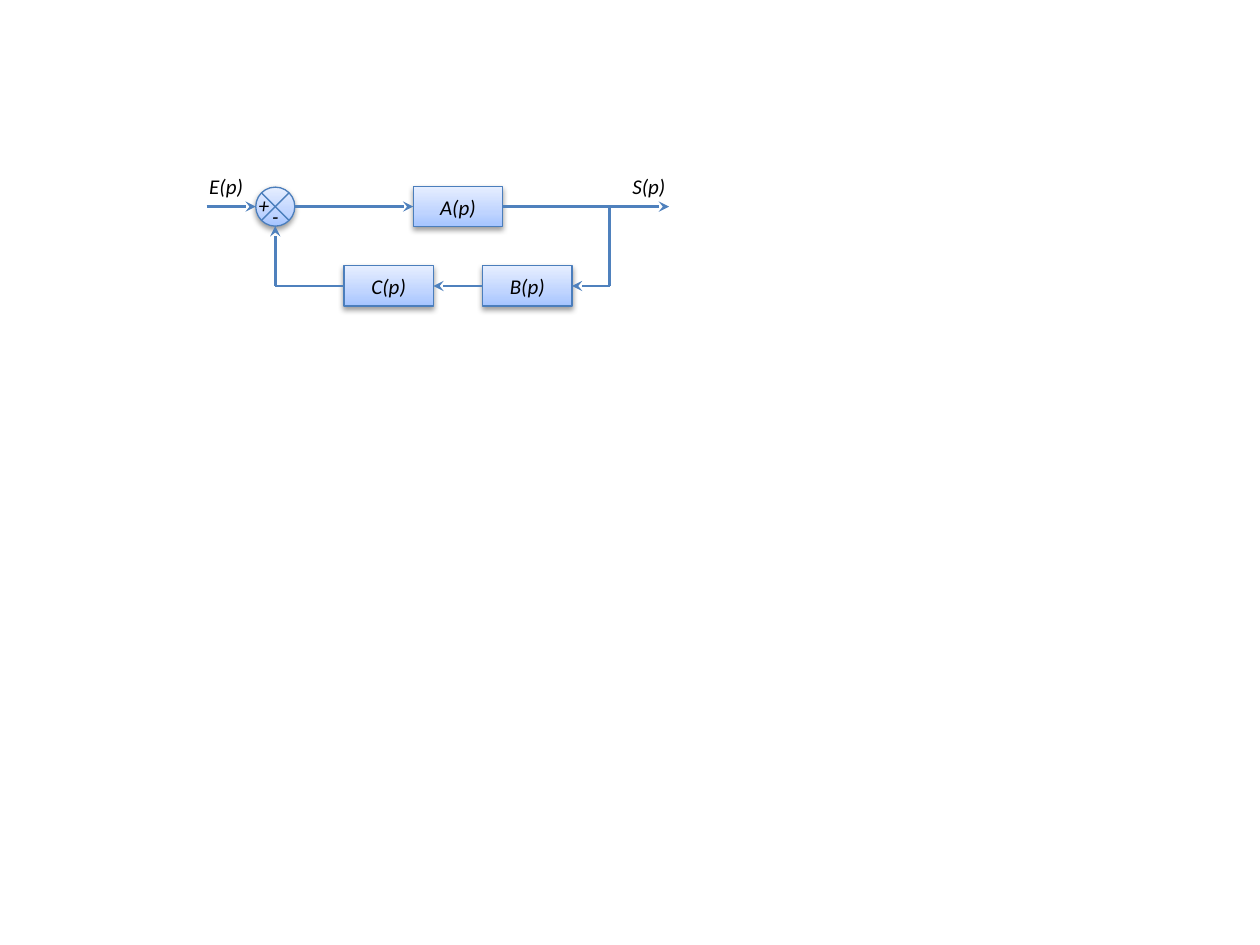
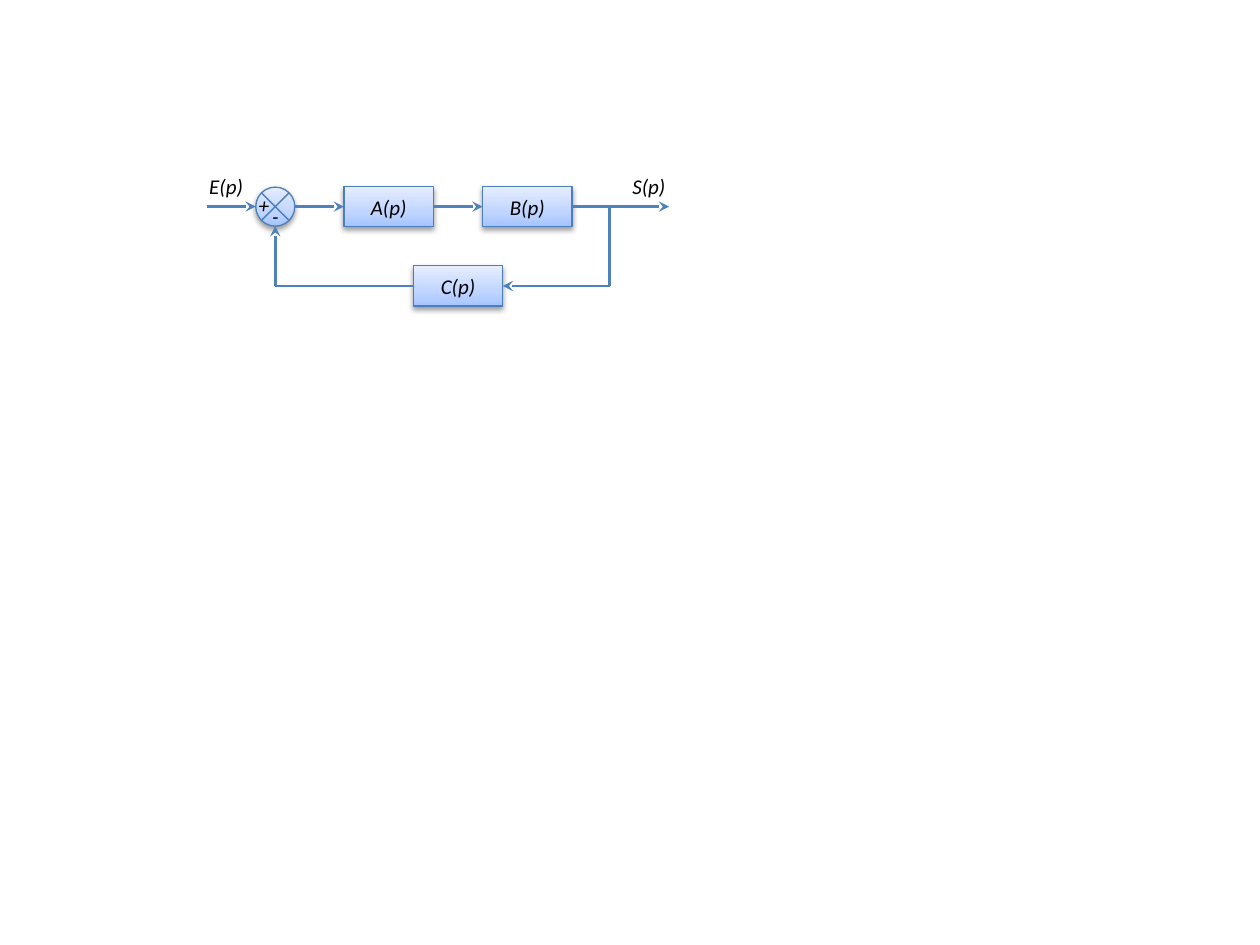
from copy import deepcopy
from dataclasses import dataclass

from lxml import etree
from pptx import Presentation
from pptx.dml.color import RGBColor
from pptx.enum import shapes, text
from pptx.oxml.ns import qn
from pptx.util import Inches, Pt


@dataclass(frozen=True)
class Theme:
    font: str = "Calibri"
    size: float = 12
    ink: str = "000000"
    wire: str = "4F81BD"
    wire_width: float = 1.5
    outline: str = "4B7EBC"
    outline_width: float = 0.75
    gradient: tuple = ((0, "A4C4FF"), (0.35, "BFD4FF"), (1, "E6EEFF"))


theme = Theme()

BLOCK_WIDTH, BLOCK_HEIGHT, BLOCK_PITCH = 0.71, 0.32, 1.1
ROW_MIDDLE = 3.28 + BLOCK_WIDTH / 2
FORWARD_Y, FEEDBACK_Y = 1.64, 2.27
INPUT_X, OUTPUT_X, TAP_X = 1.64, 5.31, 4.84
SUM_X, SUM_SIZE = 2.03, 0.31
SUM_MIDDLE = SUM_X + SUM_SIZE / 2

# Each diagram lists its blocks from left to right: forward path, feedback path.
diagrams = [
    (["A(p)"], ["C(p)", "B(p)"]),
    (["A(p)", "B(p)"], ["C(p)"]),
]
labels = [
    ("E(p)", 1.56, 1.33, 0.47),
    ("S(p)", 4.92, 1.33, 0.46),
    ("+", 1.95, 1.48, 0.29),
    ("-", 2.06, 1.57, 0.25),
]


def write(box, words):
    """Put centred italic words in a block or a label."""
    para = box.text_frame.paragraphs[0]
    para.text = words
    para.alignment = text.PP_ALIGN.CENTER
    font = para.runs[0].font
    font.name, font.size, font.italic = theme.font, Pt(theme.size), True
    font.color.rgb = RGBColor.from_string(theme.ink)


def add_node(page, kind, left, top, width, height):
    """Add a shape with the shared gradient, outline and soft shadow."""
    box = page.shapes.add_shape(kind, *map(Inches, (left, top, width, height)))
    box.line.color.rgb = RGBColor.from_string(theme.outline)
    box.line.width = Pt(theme.outline_width)
    box.fill.gradient()
    box.fill.gradient_angle = 90
    properties = box._element.spPr
    stop_list = properties.find(".//" + qn("a:gsLst"))
    stop_list.append(deepcopy(stop_list[0]))
    for stop, (position, color) in zip(box.fill.gradient_stops, theme.gradient):
        stop.position = position
        stop.color.rgb = RGBColor.from_string(color)

    box.shadow.inherit = False
    shadow = etree.SubElement(
        properties.find(qn("a:effectLst")), qn("a:outerShdw"),
        blurRad="40000", dist="20000", dir="5400000", rotWithShape="0")
    shade = etree.SubElement(shadow, qn("a:srgbClr"), val="000000")
    etree.SubElement(shade, qn("a:alpha"), val="38000")
    return box


deck = Presentation()
deck.slide_width, deck.slide_height = Inches(10), Inches(7.5)

for forward, feedback in diagrams:
    page = deck.slides.add_slide(deck.slide_layouts[6])
    edges = []
    for names, y in ((forward, FORWARD_Y), (feedback, FEEDBACK_Y)):
        row = []
        for index, name in enumerate(names):
            offset = (index - (len(names) - 1) / 2) * BLOCK_PITCH
            left = ROW_MIDDLE + offset - BLOCK_WIDTH / 2
            box = add_node(page, shapes.MSO_SHAPE.RECTANGLE, left,
                           y - BLOCK_HEIGHT / 2, BLOCK_WIDTH, BLOCK_HEIGHT)
            box.text_frame.vertical_anchor = text.MSO_ANCHOR.MIDDLE
            write(box, name)
            row += [left, left + BLOCK_WIDTH]
        edges.append(row)

    add_node(page, shapes.MSO_SHAPE.FLOWCHART_SUMMING_JUNCTION,
             SUM_X, FORWARD_Y - SUM_SIZE / 2, SUM_SIZE, SUM_SIZE)

    # Along each path, wires join every second pair of neighbouring edges.
    ahead = [INPUT_X, SUM_X, SUM_X + SUM_SIZE, *edges[0], OUTPUT_X]
    back = [TAP_X, *reversed(edges[1]), SUM_MIDDLE]
    wires = [(start, FORWARD_Y, end, FORWARD_Y, True)
             for start, end in zip(ahead[::2], ahead[1::2])]
    wires += [(start, FEEDBACK_Y, end, FEEDBACK_Y, end != SUM_MIDDLE)
              for start, end in zip(back[::2], back[1::2])]
    wires += [
        (TAP_X, FORWARD_Y, TAP_X, FEEDBACK_Y, False),
        (SUM_MIDDLE, FEEDBACK_Y, SUM_MIDDLE, FORWARD_Y + SUM_SIZE / 2, True),
    ]
    for *ends, has_arrow in wires:
        wire = page.shapes.add_connector(
            shapes.MSO_CONNECTOR.STRAIGHT, *map(Inches, ends))
        wire.line.color.rgb = RGBColor.from_string(theme.wire)
        wire.line.width = Pt(theme.wire_width)
        if has_arrow:
            etree.SubElement(wire.line._get_or_add_ln(), qn("a:tailEnd"), type="stealth")
        etree.SubElement(wire._element.spPr, qn("a:effectLst"))

    for words, left, top, width in labels:
        label = page.shapes.add_textbox(*map(Inches, (left, top, width, 0.3)))
        label.text_frame.word_wrap = False
        label.text_frame.auto_size = text.MSO_AUTO_SIZE.SHAPE_TO_FIT_TEXT
        write(label, words)

deck.save("out.pptx")
